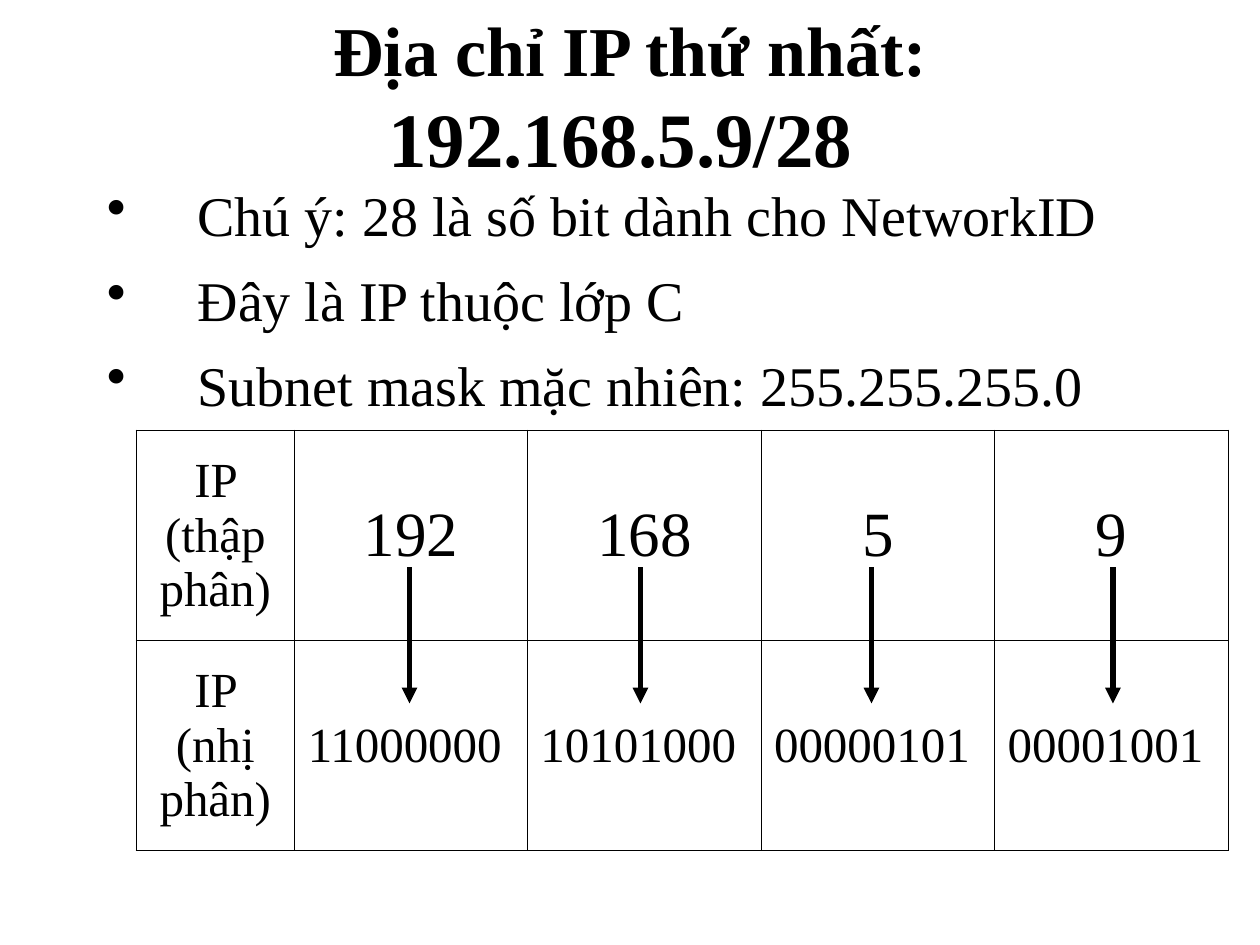
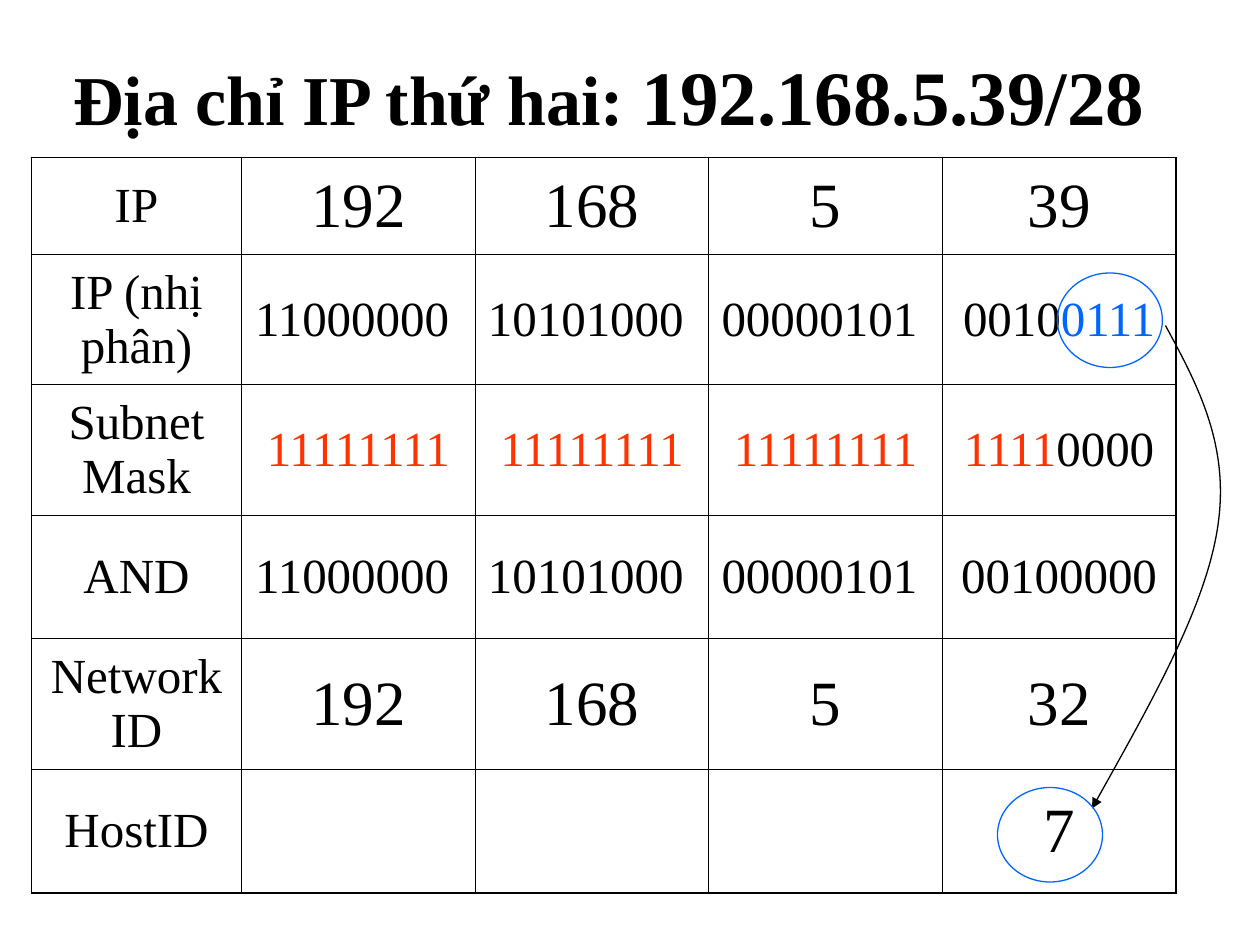
from lxml.etree import SubElement
from pptx import Presentation
from pptx.dml.color import RGBColor
from pptx.enum.shapes import MSO_CONNECTOR, MSO_SHAPE
from pptx.enum.text import MSO_ANCHOR, MSO_AUTO_SIZE, PP_ALIGN
from pptx.oxml.ns import qn
from pptx.util import Inches, Pt

FONT = "Times New Roman"
BLACK, BLUE, RED = "000000", "0066FF", "FF3300"
UNIT = Inches(1) / 12
TITLE_ONLY = 5


def colour(hex_code):
    """Return the colour for a hex string."""
    return RGBColor.from_string(hex_code)


def grid(*counts):
    """Turn grid columns and rows (120 by 90 on a slide) into lengths."""
    return [round(count * UNIT) for count in counts]


class Deck:
    """Holds the style and the current slide, and draws its elements."""

    def __init__(self):
        """Start a deck of 120 columns by 90 rows."""
        self.deck = Presentation()
        self.deck.slide_width, self.deck.slide_height = grid(120, 90)

    def style(self, paragraph, size=None, bold=False):
        """Give a paragraph the shared font."""
        font = paragraph.font
        font.name, font.bold = FONT, bold
        font.color.rgb = colour(BLACK)
        if size:
            font.size = Pt(size)

    def new_slide(self, heading, address, left, width):
        """Add a slide whose title ends in a larger address."""
        self.slide = self.deck.slides.add_slide(self.deck.slide_layouts[TITLE_ONLY])
        self.shapes = self.slide.shapes
        title = self.shapes.title
        title.left, title.top, title.width, title.height = grid(left, 3, width, 12)
        frame = title.text_frame
        frame.auto_size = MSO_AUTO_SIZE.NONE
        frame.vertical_anchor = MSO_ANCHOR.MIDDLE
        paragraph = frame.paragraphs[0]
        paragraph.alignment = PP_ALIGN.CENTER
        for text, size in ((heading, 40), (address, 44)):
            run = paragraph.add_run()
            run.text = text
            run.font.size = Pt(size)
        self.style(paragraph, bold=True)

    def bullets(self, box, notes):
        """Add a bulleted list."""
        frame = self.shapes.add_textbox(*grid(*box)).text_frame
        frame.word_wrap = True
        frame.margin_top = Inches(0.1)
        for index, note in enumerate(notes):
            paragraph = frame.add_paragraph() if index else frame.paragraphs[0]
            paragraph.text = note
            properties = paragraph._p.get_or_add_pPr()
            properties.set("marL", str(Inches(0.72)))
            properties.set("indent", str(-Inches(0.72)))
            SubElement(properties, qn("a:buChar"), char="•")
            paragraph.space_before = Pt(10 if index else 0)
            self.style(paragraph, 32)

    def borders(self, cell, outer_sides):
        """Draw the four borders of a cell, heavier on the outer sides."""
        properties = cell._tc.get_or_add_tcPr()
        for side in "LRTB":
            width = Pt(1.08 if side in outer_sides else 0.45)
            border = SubElement(properties, qn(f"a:ln{side}"), w=str(width))
            fill = SubElement(border, qn("a:solidFill"))
            SubElement(fill, qn("a:srgbClr"), val=BLACK)

    def fill_cell(self, cell, parts):
        """Write a cell from text or from (text, colour) parts."""
        if isinstance(parts, str):
            parts = [(parts, BLACK)]
        cell.vertical_anchor = MSO_ANCHOR.MIDDLE
        paragraph = cell.text_frame.paragraphs[0]
        paragraph.alignment = PP_ALIGN.CENTER
        for text, hex_code in parts:
            if text:
                run = paragraph.add_run()
                run.text = text
                run.font.color.rgb = colour(hex_code)
        content = "".join(text for text, _ in parts)
        is_decimal = content.isdigit() and len(content) <= 3
        self.style(paragraph, 36 if is_decimal else 28)

    def table(self, left, top, widths, heights, rows):
        """Add a ruled table without fill."""
        box = grid(left, top, sum(widths), sum(heights))
        table = self.shapes.add_table(len(rows), len(widths), *box).table
        table.first_row = table.horz_banding = False
        for column, width in zip(table.columns, grid(*widths)):
            column.width = width
        for row, height in zip(table.rows, grid(*heights)):
            row.height = height
        for r, row in enumerate(rows):
            for c, parts in enumerate(row):
                cell = table.cell(r, c)
                edges = {"L": c == 0, "R": c == len(row) - 1,
                         "T": r == 0, "B": r == len(rows) - 1}
                self.borders(cell, [side for side, outer in edges.items() if outer])
                cell.fill.background()
                self.fill_cell(cell, parts)

    def outline(self, shape, hex_code, width, arrow=False):
        """Set line and arrowhead, and take the shadow away."""
        shape.line.color.rgb = colour(hex_code)
        shape.line.width = Pt(width)
        properties = shape.element.spPr
        if arrow:
            SubElement(properties.find(qn("a:ln")), qn("a:tailEnd"), type="triangle")
        SubElement(properties, qn("a:effectLst"))

    def down_arrow(self, x, top, bottom):
        """Add a thick vertical arrow."""
        ends = grid(x, top, x, bottom)
        arrow = self.shapes.add_connector(MSO_CONNECTOR.STRAIGHT, *ends)
        self.outline(arrow, BLACK, 3, arrow=True)

    def ring(self, left, top):
        """Circle a value."""
        ring = self.shapes.add_shape(MSO_SHAPE.OVAL, *grid(left, top, 10, 9))
        ring.fill.background()
        self.outline(ring, BLUE, 0.75)

    def curved_arrow(self, start, *points):
        """Add an arrow of cubic curves, three points to a curve."""
        builder = self.shapes.build_freeform(*grid(*start))
        builder.add_line_segments([grid(*point) for point in points], close=False)
        curve = builder.convert_to_shape()
        curve.fill.background()
        track = next(curve.element.iter(qn("a:path")))
        segments = track.findall(qn("a:lnTo"))
        for first in range(0, len(segments), 3):
            bend = SubElement(track, qn("a:cubicBezTo"))
            for segment in segments[first:first + 3]:
                bend.append(segment[0])
                track.remove(segment)
        self.outline(curve, BLACK, 0.75, arrow=True)


def first_address(deck):
    """Build the slide on the first address."""
    deck.new_slide("Địa chỉ IP thứ nhất: ", "192.168.5.9/28 ", 9, 102)
    deck.bullets((9, 16, 102, 25), [
        "Chú ý: 28 là số bit dành cho NetworkID",
        "Đây là IP thuộc lớp C",
        "Subnet mask mặc nhiên: 255.255.255.0",
    ])
    deck.table(13, 41, [15] + [22.25] * 4, [20, 20], [
        ["IP (thập phân)", "192", "168", "5", "9"],
        ["IP (nhị phân)", "11000000 ", "10101000 ", "00000101 ", "00001001 "],
    ])
    for octet_x in (39, 61, 83, 106):
        deck.down_arrow(octet_x, 54, 67)


def second_address(deck):
    """Build the slide on the second address."""
    deck.new_slide("Địa chỉ IP thứ hai: ", "192.168.5.39/28 ", 5, 106)
    octets = ["11000000 ", "10101000 ", "00000101 "]
    full_mask = [("11111111", RED)]
    deck.table(3, 15, [20] + [22.25] * 4, [9.25, 12.4, 12.4, 11.8, 12.4, 11.8], [
        ["IP", "192", "168", "5", "39"],
        ["IP (nhị phân)", *octets, [("0010", BLACK), ("0111", BLUE)]],
        ["Subnet Mask", *[full_mask] * 3, [("1111", RED), ("0000", BLACK)]],
        ["AND", *octets, "00100000"],
        ["NetworkID", "192", "168", "5", "32"],
        ["HostID", "", "", "", "7"],
    ])
    deck.ring(100.7, 26)
    deck.curved_arrow((111, 31), (114.1, 36.7), (117.1, 42.4), (116, 50),
                      (114.9, 57.7), (109.4, 67.3), (104, 77))
    deck.ring(95, 75)


def main():
    """Build both slides and save them."""
    deck = Deck()
    first_address(deck)
    second_address(deck)
    deck.deck.save("out.pptx")


if __name__ == "__main__":
    main()
